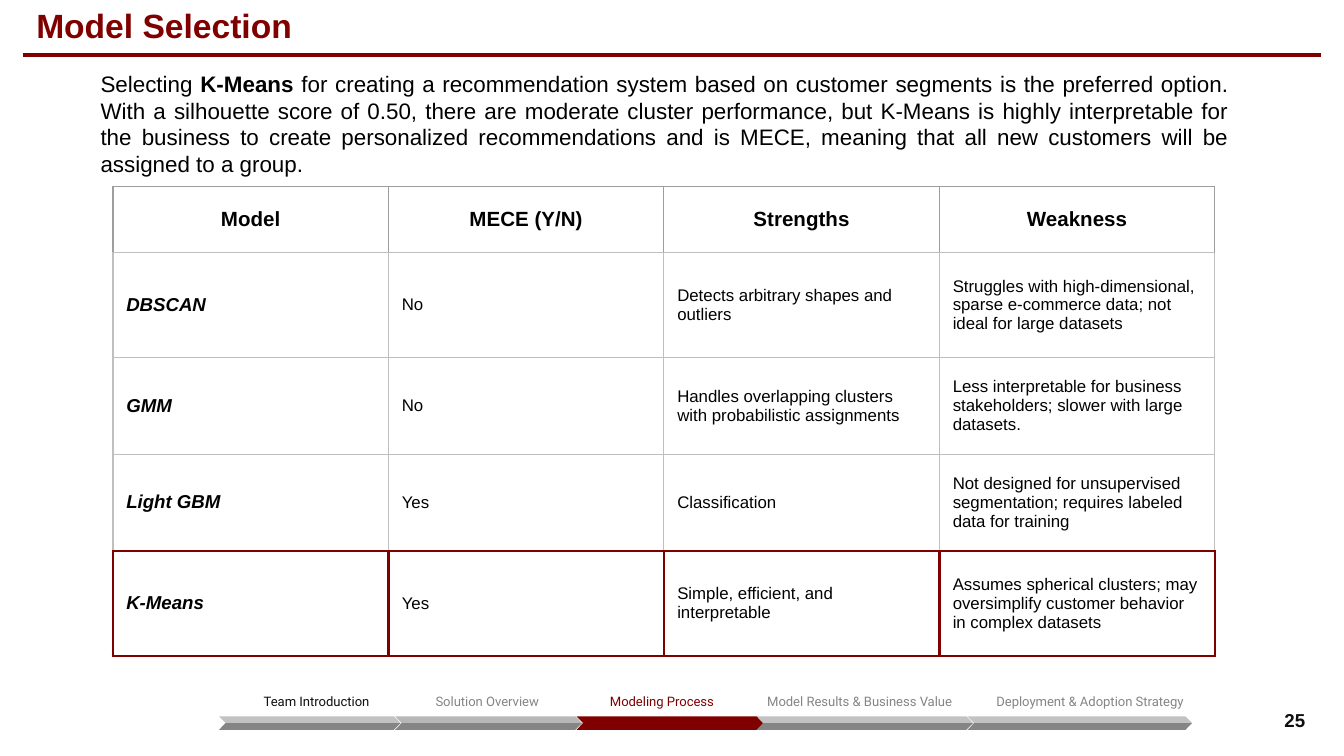
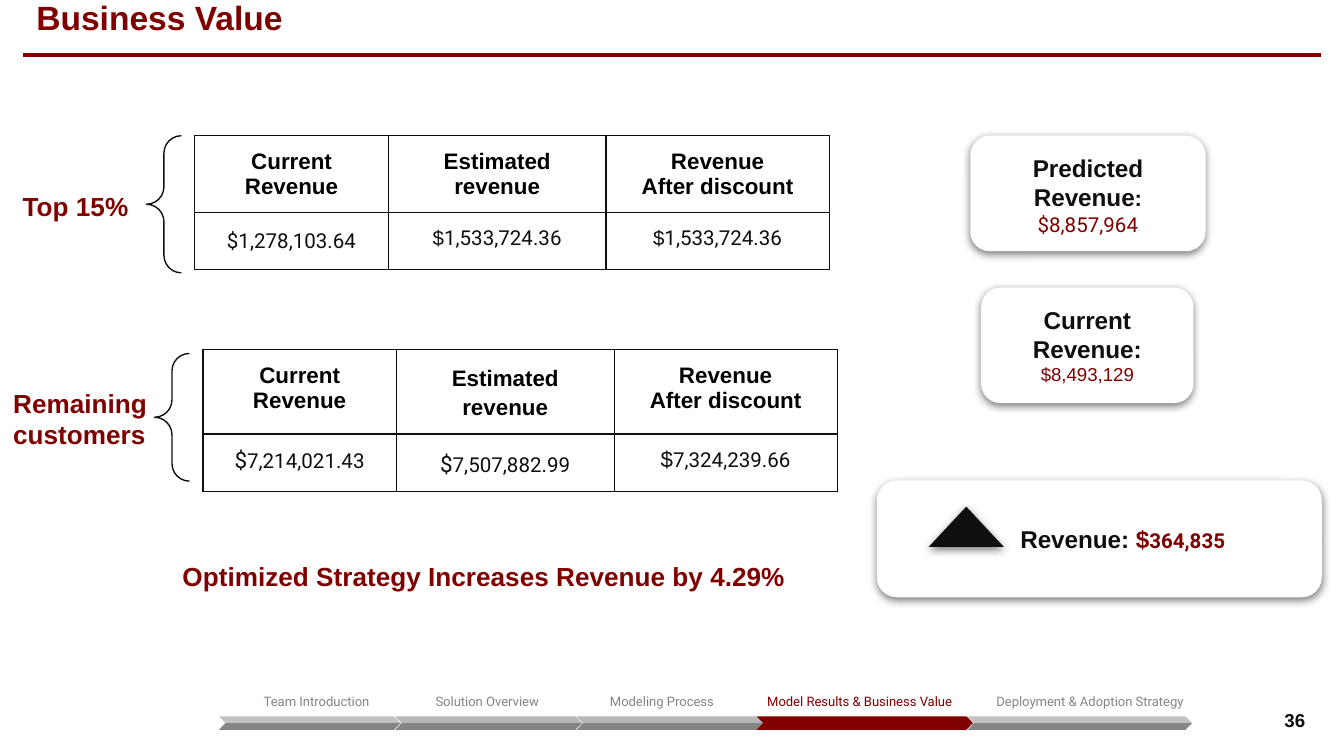
from lxml.etree import SubElement
from pptx import Presentation
from pptx.dml.color import RGBColor
from pptx.enum.shapes import MSO_CONNECTOR, MSO_SHAPE
from pptx.enum.text import MSO_ANCHOR, MSO_AUTO_SIZE, PP_ALIGN
from pptx.oxml.ns import qn
from pptx.util import Inches, Pt

COLORS = {
    "maroon": "800000", "ink": "110E0E", "black": "000000", "white": "FFFFFF",
    "gray": "858585", "silver": "C2C2C2", "steel": "B7B7B7",
    "grid": "BFBFBF", "header_grid": "9E9E9E",
}
EVEN_INSETS = (0.1, 0.1, 0.1, 0.1)
TITLE_INSETS = (0.1, 0.05, 0.1, 0.05)
BASE = {"name": "Arial", "size": 12, "bold": False, "italic": False, "color": "black"}
TITLE = BASE | {"size": 18, "bold": True, "color": "maroon"}
CALLOUT = TITLE | {"size": 14}
PAGE = BASE | {"size": 10, "bold": True, "color": "ink"}
HEADER = BASE | {"size": 11, "bold": True}
MODEL_NAME = BASE | {"size": 10, "bold": True, "italic": True}
DETAIL = BASE | {"size": 9}
REVENUE_HEADER = BASE | {"bold": True}
AMOUNT = BASE | {"name": "Roboto", "size": 11, "color": "ink"}
CARD = BASE | {"size": 13, "bold": True, "color": "ink"}
CARD_AMOUNT = AMOUNT | {"color": "maroon"}
STAGE = BASE | {"name": "Roboto", "size": 7, "color": "gray"}

# label, label left, label width, label alignment, arrow left, arrow width
STAGES = [
    ("Team Introduction", 1.71, 1.29, PP_ALIGN.CENTER, 1.63, 1.35),
    ("Solution Overview", 2.78, 1.69, PP_ALIGN.CENTER, 2.94, 1.39),
    ("Modeling Process", 4.08, 1.69, PP_ALIGN.CENTER, 4.29, 1.39),
    ("Model Results & Business Value", 5.61, 1.88, PP_ALIGN.LEFT, 5.63, 1.61),
    ("Deployment & Adoption Strategy", 7.06, 2.1, PP_ALIGN.CENTER, 7.2, 1.67),
]
MODELS = [
    ("Model", "MECE (Y/N)", "Strengths", "Weakness"),
    ("DBSCAN", "No", "Detects arbitrary shapes and outliers",
     "Struggles with high-dimensional, sparse e-commerce data; not ideal for large datasets"),
    ("GMM", "No", "Handles overlapping clusters with probabilistic assignments",
     "Less interpretable for business stakeholders; slower with large datasets."),
    ("Light GBM", "Yes", "Classification",
     "Not designed for unsupervised segmentation; requires labeled data for training"),
    ("K-Means", "Yes", "Simple, efficient, and interpretable",
     "Assumes spherical clusters; may oversimplify customer behavior in complex datasets"),
]


def rgb(color):
    return RGBColor.from_string(COLORS[color])


def inches(*lengths):
    return [Inches(length) for length in lengths]


def write(frame, paragraphs, align=PP_ALIGN.LEFT, spacing=1.0):
    """Fill a text frame with paragraphs, each a list of (text, style) runs."""
    for index, runs in enumerate(paragraphs):
        paragraph = frame.paragraphs[0] if index == 0 else frame.add_paragraph()
        paragraph.alignment, paragraph.line_spacing = align, spacing
        for text, style in runs:
            run = paragraph.add_run()
            run.text = text
            values = style | {"size": Pt(style["size"])}
            run.font.color.rgb = rgb(values.pop("color"))
            for attribute, value in values.items():
                setattr(run.font, attribute, value)


def set_frame(frame, insets=EVEN_INSETS, anchor=MSO_ANCHOR.TOP):
    margins = zip(("left", "top", "right", "bottom"), inches(*insets))
    values = {f"margin_{side}": margin for side, margin in margins}
    values |= {"word_wrap": True, "auto_size": MSO_AUTO_SIZE.NONE, "vertical_anchor": anchor}
    for attribute, value in values.items():
        setattr(frame, attribute, value)


def add_text(slide, box, paragraphs, align=PP_ALIGN.LEFT, spacing=1.0,
             insets=EVEN_INSETS, anchor=MSO_ANCHOR.TOP):
    frame = slide.shapes.add_textbox(*inches(*box)).text_frame
    set_frame(frame, insets, anchor)
    write(frame, paragraphs, align, spacing)


def add_shape(slide, kind, box, fill=None, line=None, adjustments=(), shadow=False):
    shape = slide.shapes.add_shape(kind, *inches(*box))
    for index, value in enumerate(adjustments):
        shape.adjustments[index] = value
    if fill:
        shape.fill.solid()
        shape.fill.fore_color.rgb = rgb(fill)
    else:
        shape.fill.background()
    if line:
        shape.line.color.rgb = rgb(line)
        shape.line.width = Pt(0.75)
    else:
        shape.line.fill.background()
    shape.shadow.inherit = False
    if shadow:
        effects = shape._element.spPr.find(qn("a:effectLst"))
        outer = SubElement(effects, qn("a:outerShdw"), blurRad=str(Pt(4.5)),
                           dist=str(Pt(1.5)), dir="5400000", algn="bl", rotWithShape="0")
        tint = SubElement(outer, qn("a:srgbClr"), val=COLORS["black"])
        SubElement(tint, qn("a:alpha"), val="50000")
    return shape


def set_borders(cell, borders):
    """Draw cell borders from a dict of side (L, R, T, B) to (color, points)."""
    properties = cell._tc.get_or_add_tcPr()
    for side in "LRTB":
        color, width = borders[side]
        line = SubElement(properties, qn(f"a:ln{side}"), w=str(Pt(width)))
        solid = SubElement(line, qn("a:solidFill"))
        SubElement(solid, qn("a:srgbClr"), val=COLORS[color])


def add_table(slide, origin, widths, heights):
    size = (sum(widths), sum(heights))
    table = slide.shapes.add_table(len(heights), len(widths), *inches(*origin, *size)).table
    table.first_row = table.horz_banding = False
    for column, width in zip(table.columns, widths):
        column.width = Inches(width)
    for row, height in zip(table.rows, heights):
        row.height = Inches(height)
    return table


def fill_cell(cell, paragraphs, borders, align=PP_ALIGN.LEFT, spacing=1.0,
              anchor=MSO_ANCHOR.TOP):
    set_borders(cell, borders)
    cell.fill.background()
    cell.vertical_anchor = anchor
    cell.margin_left = cell.margin_right = cell.margin_top = cell.margin_bottom = Inches(0.1)
    write(cell.text_frame, paragraphs, align, spacing)


def add_heading(slide, text, box):
    title = slide.shapes.title
    title.left, title.top, title.width, title.height = inches(*box)
    set_frame(title.text_frame, TITLE_INSETS, MSO_ANCHOR.MIDDLE)
    write(title.text_frame, [[(text, TITLE)]])
    rule = slide.shapes.add_connector(MSO_CONNECTOR.STRAIGHT, *inches(0.17, 0.41, 9.83, 0.41))
    rule.line.color.rgb = rgb("maroon")
    rule.line.width = Pt(2)
    SubElement(rule._element.spPr, qn("a:effectLst"))


def add_progress(slide, current, top, label_colors, steel_stages):
    """Draw the stage tracker, with the current stage in maroon."""
    for index, (label, left, width, align, arrow_left, arrow_width) in enumerate(STAGES):
        active = index == current
        color = "maroon" if active else label_colors.get(index, "gray")
        add_text(slide, (left, top, width, 0.26), [[(label, STAGE | {"color": color})]],
                 align, 1.15)
        upper = "steel" if index in steel_stages else "silver"
        for offset, fill, flipped in ((0.29, upper, True), (0.34, "gray", False)):
            band = add_shape(slide, MSO_SHAPE.PARALLELOGRAM,
                             (arrow_left, top + offset, arrow_width, 0.05),
                             "maroon" if active else fill, adjustments=[0.97])
            if flipped:
                band._element.spPr.find(qn("a:xfrm")).set("flipH", "1")


def add_framed_slide(deck, title, title_top, page, current, label_colors, steel_stages):
    slide = deck.slides.add_slide(deck.slide_layouts[5])
    add_heading(slide, title, (0.17, title_top, 9.66, 0.6))
    add_text(slide, (9.25, 5.21, 0.56, 0.3), [[(page, PAGE)]], PP_ALIGN.RIGHT,
             insets=TITLE_INSETS, anchor=MSO_ANCHOR.MIDDLE)
    add_progress(slide, current, 5.04, label_colors, steel_stages)
    return slide


def add_model_table(slide, origin):
    table = add_table(slide, origin, [2.05] * 4, [0.49, 0.78, 0.72, 0.72, 0.78])
    chosen = len(MODELS) - 1
    for row, texts in enumerate(MODELS):
        borders = dict.fromkeys("LRTB", ("grid", 0.75))
        if row == 0:
            borders |= dict.fromkeys("LRT", ("header_grid", 0.75))
        elif row == chosen - 1:
            borders["B"] = ("maroon", 1.5)
        elif row == chosen:
            borders = dict.fromkeys("LRTB", ("maroon", 1.5))
        for column, text in enumerate(texts):
            style = HEADER if row == 0 else MODEL_NAME if column == 0 else DETAIL
            fill_cell(table.cell(row, column), [[(text, style)]], borders,
                      PP_ALIGN.CENTER if row == 0 else PP_ALIGN.LEFT,
                      anchor=MSO_ANCHOR.MIDDLE)


def build_model_selection(deck):
    slide = add_framed_slide(deck, "Model Selection", -0.11, "25", 2, {0: "ink"}, {1})
    add_text(slide, (0.65, 0.42, 8.6, 0.94), [[
        ("Selecting ", BASE),
        ("K-Means", BASE | {"bold": True}),
        (" for creating a recommendation system based on customer segments is the preferred "
         "option. With a silhouette score of 0.50, there are moderate cluster performance, but "
         "K-Means is highly interpretable for the business to create personalized "
         "recommendations and is MECE, meaning that all new customers will be assigned to a "
         "group.", BASE),
    ]], PP_ALIGN.JUSTIFY)
    add_model_table(slide, (0.84, 1.39))


def add_revenue_group(slide, origin, segment, label_box, brace_span, amounts, header_spacings):
    """Place a segment label, brace and revenue table; offsets count from the table corner."""
    left, top = origin
    label_left, label_top, label_width = label_box
    brace_top, brace_height = brace_span
    add_text(slide, (left + label_left, top + label_top, label_width, 0.4),
             [[(segment, CALLOUT)]])
    add_shape(slide, MSO_SHAPE.LEFT_BRACE, (left - 0.36, top + brace_top, 0.26, brace_height),
              line="ink", adjustments=[0.5, 0.5])
    table = add_table(slide, origin, [1.44, 1.62, 1.66], [0.42, 0.42])
    borders = dict.fromkeys("LRTB", ("ink", 0.75))
    headers = [["Current Revenue"], ["Estimated revenue"], ["Revenue", "After discount"]]
    for column, (lines, spacing) in enumerate(zip(headers, header_spacings)):
        fill_cell(table.cell(0, column), [[(line, REVENUE_HEADER)] for line in lines],
                  borders, PP_ALIGN.CENTER, spacing)
    for column, (amount, sign_font, sign_size, spacing) in enumerate(amounts):
        sign = AMOUNT | {"name": sign_font, "size": sign_size}
        fill_cell(table.cell(1, column), [[("$", sign), (amount, AMOUNT)]],
                  borders, PP_ALIGN.CENTER, spacing)


def add_card(slide, box, paragraphs, align=PP_ALIGN.CENTER, insets=EVEN_INSETS, line=None):
    card = add_shape(slide, MSO_SHAPE.ROUNDED_RECTANGLE, box, "white", line, [0.167], True)
    set_frame(card.text_frame, insets, MSO_ANCHOR.MIDDLE)
    write(card.text_frame, paragraphs, align)


def add_growth_card(slide, box):
    left, top, _, _ = box
    add_card(slide, box, [[
        ("Revenue: ", CARD),
        ("$", CARD | {"color": "maroon"}),
        ("364,835", CARD_AMOUNT | {"bold": True}),
    ]], PP_ALIGN.LEFT, (1.02, 0.1, 0.1, 0.1), "white")
    add_shape(slide, MSO_SHAPE.ISOSCELES_TRIANGLE, (left + 0.38, top + 0.19, 0.56, 0.3),
              "ink", shadow=True)


def build_business_value(deck):
    slide = add_framed_slide(deck, "Business Value", -0.17, "36", 3, {}, {1, 2})
    add_revenue_group(
        slide, (1.45, 1.01), "Top 15%", (-1.38, 0.31, 1.08), (0, 1.02),
        [("1,278,103.64", "Roboto", 11, 1.15), ("1,533,724.36", "Arial", 11, 1.0),
         ("1,533,724.36", "Arial", 11, 1.0)], (1.0, 1.0, 1.0))
    add_revenue_group(
        slide, (1.51, 2.6), "Remaining customers", (-1.51, 0.18, 1.36), (0.03, 0.95),
        [("7,214,021.43", "Roboto", 12, 1.0), ("7,507,882.99", "Roboto", 12, 1.15),
         ("7,324,239.66", "Arial", 12, 1.0)], (1.0, 1.15, 1.0))
    add_card(slide, (7.22, 1.01, 1.75, 0.86), [
        [("Predicted Revenue", CARD), (":", CARD | {"size": 12})],
        [("$8,857,964", CARD_AMOUNT)],
    ], insets=(0.1, 0.12, 0.1, 0.1))
    add_card(slide, (7.3, 2.14, 1.58, 0.86), [
        [("Current Revenue:", CARD)],
        [("$8,493,129", CARD_AMOUNT | {"name": "Arial", "size": 10})],
    ])
    add_growth_card(slide, (6.53, 3.58, 3.3, 0.86))
    add_text(slide, (1.26, 4.07, 4.83, 0.55),
             [[("Optimized Strategy Increases Revenue by 4.29%", CALLOUT)]])


def main():
    deck = Presentation()
    deck.slide_width = Inches(10)
    deck.slide_height = deck.slide_width * 9 // 16
    build_model_selection(deck)
    build_business_value(deck)
    deck.save("out.pptx")


if __name__ == "__main__":
    main()
